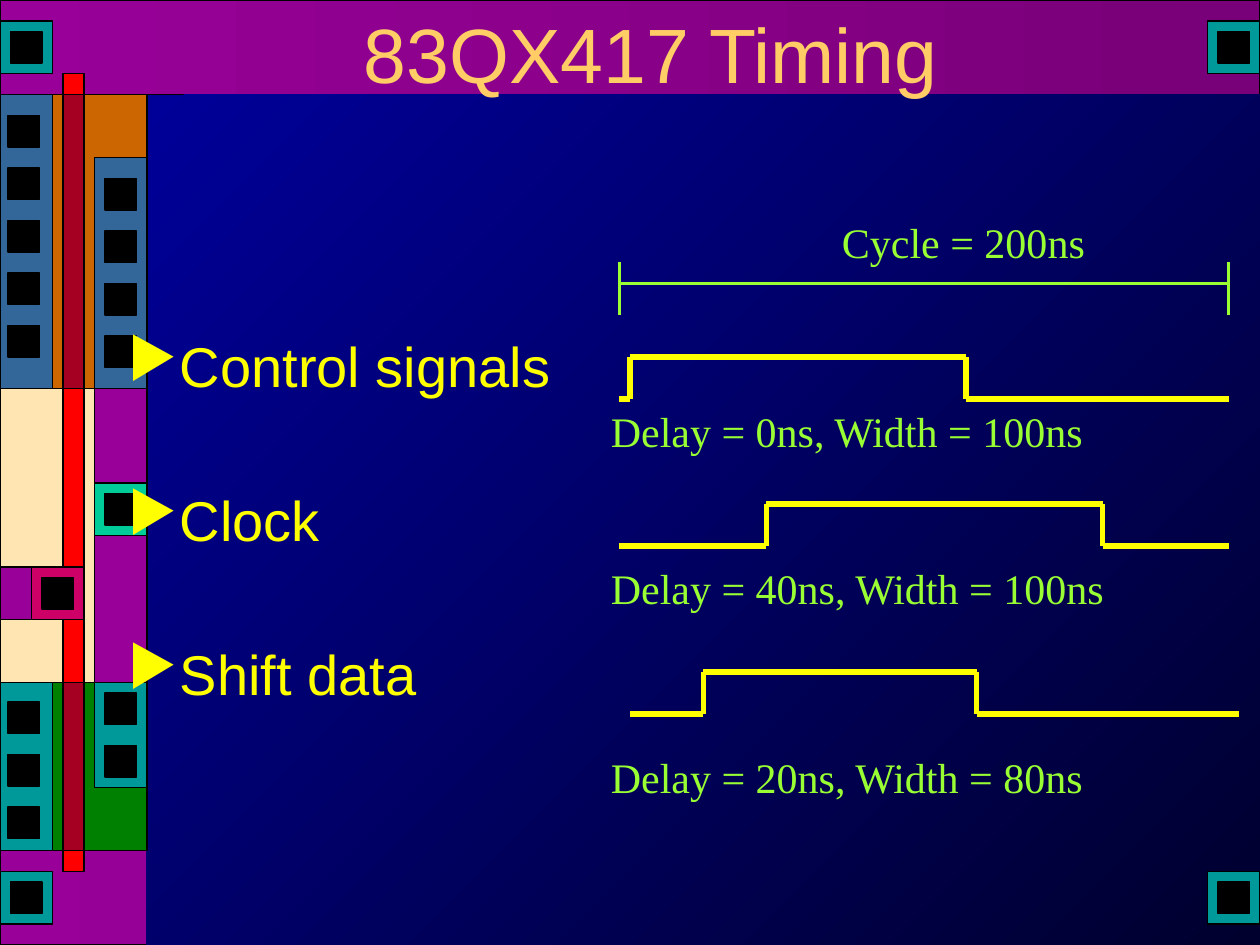
import itertools
from dataclasses import dataclass

import lxml.etree
import pptx
import pptx.dml.color
import pptx.enum.shapes
import pptx.enum.text
import pptx.oxml.ns
import pptx.util

COLUMNS, ROWS = 120, 90  # grid cells are 1/12 inch
CELL = pptx.util.Inches(10) / COLUMNS
PAD, FRAME, PAD_STEP = 3, 5, 5
qn = pptx.oxml.ns.qn


@dataclass(frozen=True)
class Theme:
    sans: str = "Arial"
    serif: str = "Times New Roman"
    title_size: int = 44
    signal_size: int = 32
    note_size: int = 24
    black: str = "000000"
    purple: str = "990099"
    purple_end: str = "780078"
    navy: str = "000099"
    navy_end: str = "00002E"
    gold: str = "FFCC66"
    orange: str = "CC6600"
    green: str = "008000"
    teal: str = "009999"
    steel: str = "336699"
    red: str = "FF0000"
    crimson: str = "A50021"
    mint: str = "00CC99"
    pink: str = "CC0066"
    yellow: str = "FFFF00"
    lime: str = "99FF33"


@dataclass(frozen=True)
class Block:
    col: float
    row: float
    cols: float
    rows: float
    color: str
    end_color: str = ""
    angle: float = 0
    opacity: int = 100
    outlined: bool = True


@dataclass(frozen=True)
class PadColumn:
    col: float
    row: float
    count: int


@dataclass(frozen=True)
class Pulse:
    start: float
    rise: float
    fall: float
    end: float
    base: float
    height: float = 4


@dataclass(frozen=True)
class Note:
    text: str
    col: float
    row: float
    cols: float


THEME = Theme()

BACKDROP = [
    Block(0, 81, COLUMNS, 9, THEME.purple, THEME.purple_end),
    Block(0, 0, COLUMNS, 9, THEME.purple, THEME.purple_end),
    Block(14, 9, 106, 81, THEME.navy, THEME.navy_end, angle=315, outlined=False),
    Block(0, 37, 11, 28, THEME.gold, opacity=50),
    Block(0, 9, 14, 28, THEME.orange),
    Block(0, 65, 14, 16, THEME.green),
    Block(0, 65, 5, 16, THEME.teal),
    Block(0, 9, 5, 28, THEME.steel),
]
RAIL = [
    Block(6, 7, 2, 76, THEME.red),
    Block(6, 65, 2, 16, THEME.crimson),
    Block(6, 9, 2, 28, THEME.crimson),
]
RIGHT_STRIP = [
    Block(9, 15, 5, 22, THEME.steel),
    Block(9, 65, 5, 10, THEME.teal),
    Block(9, 37, 5, 28, THEME.purple),
    Block(0, 54, 4, 5, THEME.purple),
]
LEFT_PADS = [PadColumn(0.75, 11, 5), PadColumn(0.75, 66.85, 3)]
RIGHT_PADS = [PadColumn(10, 17, 4), PadColumn(10, 66, 2)]
CONTACTS = [(9, 46, THEME.mint), (3, 54, THEME.pink)] + [
    (col, row, THEME.teal) for col in (0, COLUMNS - FRAME) for row in (2, 83)
]

SIGNALS = ["Control signals", "Clock", "Shift data"]
PULSES = [
    Pulse(59, 60, 92, 117, base=38),
    Pulse(59, 73, 105, 117, base=52),
    Pulse(60, 67, 93, 118, base=68),
]
NOTES = [
    Note("Cycle = 200ns", 79, 20, 25.6),
    Note("Delay = 0ns, Width = 100ns", 57, 38, 47.5),
    Note("Delay = 40ns, Width = 100ns", 57, 53, 49.5),
    Note("Delay = 20ns, Width = 80ns", 57, 71, 47.5),
]


def cells(*counts: float) -> list[int]:
    return [round(count * CELL) for count in counts]


def rgb(color: str) -> pptx.dml.color.RGBColor:
    return pptx.dml.color.RGBColor.from_string(color)


def draw_block(slide, block: Block) -> None:
    panel = slide.shapes.add_shape(
        pptx.enum.shapes.MSO_SHAPE.RECTANGLE,
        *cells(block.col, block.row, block.cols, block.rows))
    panel.shadow.inherit = False
    if block.end_color:
        panel.fill.gradient()
        panel.fill.gradient_angle = block.angle
        for stop, color in zip(panel.fill.gradient_stops, (block.color, block.end_color)):
            stop.color.rgb = rgb(color)
    else:
        panel.fill.solid()
        panel.fill.fore_color.rgb = rgb(block.color)
    if block.opacity < 100:
        tint = panel.fill._xPr.find(qn("a:solidFill"))[0]
        lxml.etree.SubElement(tint, qn("a:alpha"), val=str(block.opacity * 1000))
    if block.outlined:
        panel.line.color.rgb = rgb(THEME.black)
        panel.line.width = pptx.util.Pt(0.75)
    else:
        panel.line.fill.background()


def draw_pads(slide, column: PadColumn) -> None:
    for index in range(column.count):
        row = column.row + index * PAD_STEP
        draw_block(slide, Block(column.col, row, PAD, PAD, THEME.black))


def draw_contact(slide, col: float, row: float, color: str) -> None:
    draw_block(slide, Block(col, row, FRAME, FRAME, color))
    draw_pads(slide, PadColumn(col + 1, row + 1, 1))


def draw_line(slide, start: tuple, end: tuple, color: str, width: float) -> None:
    stroke = slide.shapes.add_connector(
        pptx.enum.shapes.MSO_CONNECTOR.STRAIGHT, *cells(*start, *end))
    stroke.line.color.rgb = rgb(color)
    stroke.line.width = pptx.util.Pt(width)
    lxml.etree.SubElement(stroke._element.spPr, qn("a:effectLst"))


def draw_pulse(slide, pulse: Pulse) -> None:
    top = pulse.base - pulse.height
    corners = [(pulse.start, pulse.base), (pulse.rise, pulse.base), (pulse.rise, top),
               (pulse.fall, top), (pulse.fall, pulse.base), (pulse.end, pulse.base)]
    for start, end in itertools.pairwise(corners):
        draw_line(slide, start, end, THEME.yellow, 3)


def add_bullet(paragraph, color: str) -> None:
    properties = paragraph._p.get_or_add_pPr()
    indent = round(4.5 * CELL)
    properties.set("marL", str(indent))
    properties.set("indent", str(-indent))
    bullet_color = lxml.etree.SubElement(properties, qn("a:buClr"))
    lxml.etree.SubElement(bullet_color, qn("a:srgbClr"), val=color)
    lxml.etree.SubElement(properties, qn("a:buChar"), char="▶")


def write(slide, lines: list[str], area: tuple, *, font: str, size: int, color: str,
          centered: bool = False, wrap: bool = True, bullets: bool = False,
          gap: float = 0) -> None:
    frame = slide.shapes.add_textbox(*cells(*area)).text_frame
    frame.word_wrap = wrap
    if centered:
        frame.vertical_anchor = pptx.enum.text.MSO_ANCHOR.MIDDLE
    for index, text in enumerate(lines):
        paragraph = frame.add_paragraph() if index else frame.paragraphs[0]
        if centered:
            paragraph.alignment = pptx.enum.text.PP_ALIGN.CENTER
        if index and gap:
            paragraph.space_before = pptx.util.Pt(gap)
        if bullets:
            add_bullet(paragraph, color)
        run = paragraph.add_run()
        run.text = text
        run.font.name = font
        run.font.size = pptx.util.Pt(size)
        run.font.color.rgb = rgb(color)


def main() -> None:
    deck = pptx.Presentation()
    deck.slide_width, deck.slide_height = cells(COLUMNS, ROWS)
    slide = deck.slides.add_slide(deck.slide_layouts[6])

    # Circuit-board decoration
    for blocks, pads in ((BACKDROP, LEFT_PADS), (RAIL + RIGHT_STRIP, RIGHT_PADS)):
        for block in blocks:
            draw_block(slide, block)
        for column in pads:
            draw_pads(slide, column)
    for contact in CONTACTS:
        draw_contact(slide, *contact)

    # Title and signal names
    write(slide, ["83QX417 Timing"], (12, 0, 100, 10), font=THEME.sans,
          size=THEME.title_size, color=THEME.gold, centered=True)
    write(slide, SIGNALS, (11, 31, 45, 56), font=THEME.sans,
          size=THEME.signal_size, color=THEME.yellow, bullets=True, gap=49.5)

    # Waveforms
    for pulse in PULSES:
        draw_pulse(slide, pulse)

    # Cycle dimension and timing notes
    for col in (59, 117):
        draw_line(slide, (col, 25), (col, 30), THEME.lime, 2.25)
    draw_line(slide, (59, 27), (117, 27), THEME.lime, 2.25)
    for note in NOTES:
        write(slide, [note.text], (note.col, note.row, note.cols, 6), font=THEME.serif,
              size=THEME.note_size, color=THEME.lime, wrap=False)

    deck.save("out.pptx")


if __name__ == "__main__":
    main()
